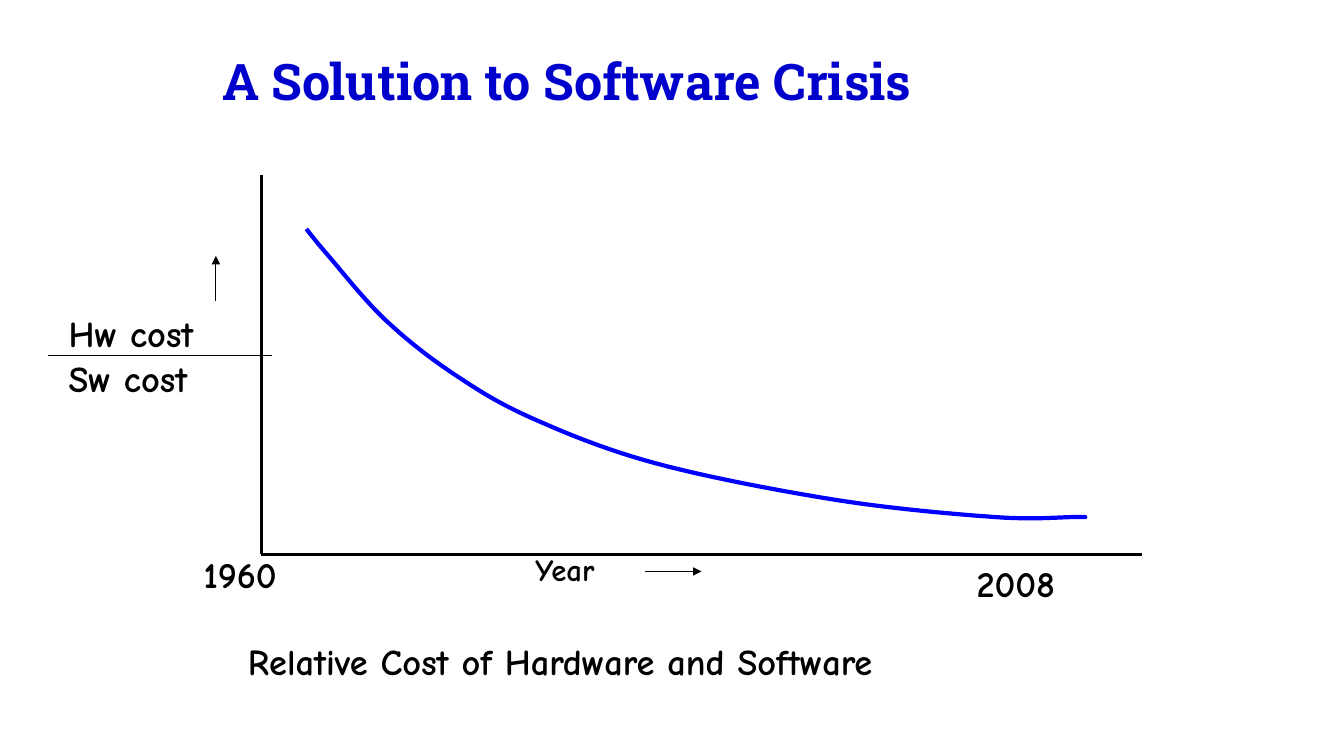
from lxml import etree
from pptx import Presentation
from pptx.dml.color import RGBColor
from pptx.enum.shapes import MSO_CONNECTOR
from pptx.enum.text import MSO_ANCHOR, PP_ALIGN
from pptx.oxml.ns import qn
from pptx.util import Cm, Pt

COLORS = {"title": "0000CC", "curve": "0000FF", "ink": "000000"}
TITLE_FONT, BODY_FONT = "Roboto Slab", "Comic Neue"
STEPS_PER_SPAN = 12

ORIGIN_X, ORIGIN_Y = 6.58, 13.97
COST_CURVE = [
    (7.72, 5.77), (8.28, 6.45), (9.7, 8.05), (11.4, 9.4), (13.41, 10.54),
    (16.54, 11.68), (21.08, 12.6), (25.07, 13.03), (27.08, 13.03), (27.36, 13.03),
]


def smooth(knots):
    """Return points on a Catmull-Rom spline through the knots."""
    padded = [knots[0], *knots, knots[-1]]
    points = [knots[0]]
    for a, b, c, d in zip(padded, padded[1:], padded[2:], padded[3:]):
        for step in range(1, STEPS_PER_SPAN + 1):
            t = step / STEPS_PER_SPAN
            points.append(tuple(
                q + t * (r - p) / 2
                + t**2 * (2 * p - 5 * q + 4 * r - s) / 2
                + t**3 * (3 * q - p - 3 * r + s) / 2
                for p, q, r, s in zip(a, b, c, d)
            ))
    return points


class Page:
    """Draws styled elements on one slide; lengths are in centimetres."""

    def __init__(self, slide):
        self.shapes = slide.shapes

    def style_line(self, line, color, width):
        line.color.rgb = RGBColor.from_string(COLORS[color])
        line.width = Pt(width)

    def text(self, left, top, width, height, lines, size=26, font=BODY_FONT,
             color="ink", before=5.1, spacing=0.85, align=PP_ALIGN.LEFT,
             anchor=MSO_ANCHOR.TOP):
        box = self.shapes.add_textbox(Cm(left), Cm(top), Cm(width), Cm(height))
        frame = box.text_frame
        frame.word_wrap = True
        frame.vertical_anchor = anchor
        frame.margin_left = frame.margin_right = Cm(0.05)
        frame.margin_top = frame.margin_bottom = Cm(0.15)
        frame.text = "\n".join(lines)
        for para in frame.paragraphs:
            para.alignment = align
            para.line_spacing = spacing
            para.space_before = Pt(before)
            para.font.name = font
            para.font.size = Pt(size)
            para.font.bold = True
            para.font.color.rgb = RGBColor.from_string(COLORS[color])

    def line(self, start, end, width=0.75, arrow=False):
        connector = self.shapes.add_connector(
            MSO_CONNECTOR.STRAIGHT, *map(Cm, start), *map(Cm, end))
        self.style_line(connector.line, "ink", width)
        if arrow:
            outline = connector.line._get_or_add_ln()
            etree.SubElement(outline, qn("a:tailEnd"), type="triangle")
        etree.SubElement(connector._element.spPr, qn("a:effectLst"))

    def curve(self, knots, color, width):
        start, *rest = [(Cm(x), Cm(y)) for x, y in smooth(knots)]
        builder = self.shapes.build_freeform(*start)
        builder.add_line_segments(rest, close=False)
        shape = builder.convert_to_shape()
        shape.shadow.inherit = False
        shape.fill.background()
        self.style_line(shape.line, color, width)


def main():
    deck = Presentation()
    deck.slide_width, deck.slide_height = Cm(33.87), Cm(19.05)
    page = Page(deck.slides.add_slide(deck.slide_layouts[6]))

    page.text(0, 0.46, 28.58, 3.15, ["A Solution to Software Crisis"], size=36,
              font=TITLE_FONT, color="title", before=10, spacing=1,
              align=PP_ALIGN.CENTER, anchor=MSO_ANCHOR.MIDDLE)

    for axis_end in [(ORIGIN_X, 4.42), (28.78, ORIGIN_Y)]:
        page.line((ORIGIN_X, ORIGIN_Y), axis_end, width=2.25)
    page.curve(COST_CURVE, "curve", 3)

    page.text(13.44, 13.87, 2.67, 1.09, ["Year"], size=22)
    page.line((16.26, 14.4), (17.68, 14.4), arrow=True)

    page.text(1.68, 7.87, 5.89, 2.87, ["Hw cost", "Sw cost"])
    page.line((1.22, 8.97), (6.86, 8.97))
    page.line((5.44, 7.59), (5.44, 6.45), arrow=True)

    page.text(6.2, 16.13, 22.91, 1.27,
              ["Relative Cost of Hardware and Software"], before=6.1)
    for year, left, top in [("1960", 5.08, 13.94), ("2008", 24.56, 14.15)]:
        page.text(left, top, 3.1, 1.27, [year], before=15.1)

    deck.save("out.pptx")


if __name__ == "__main__":
    main()
